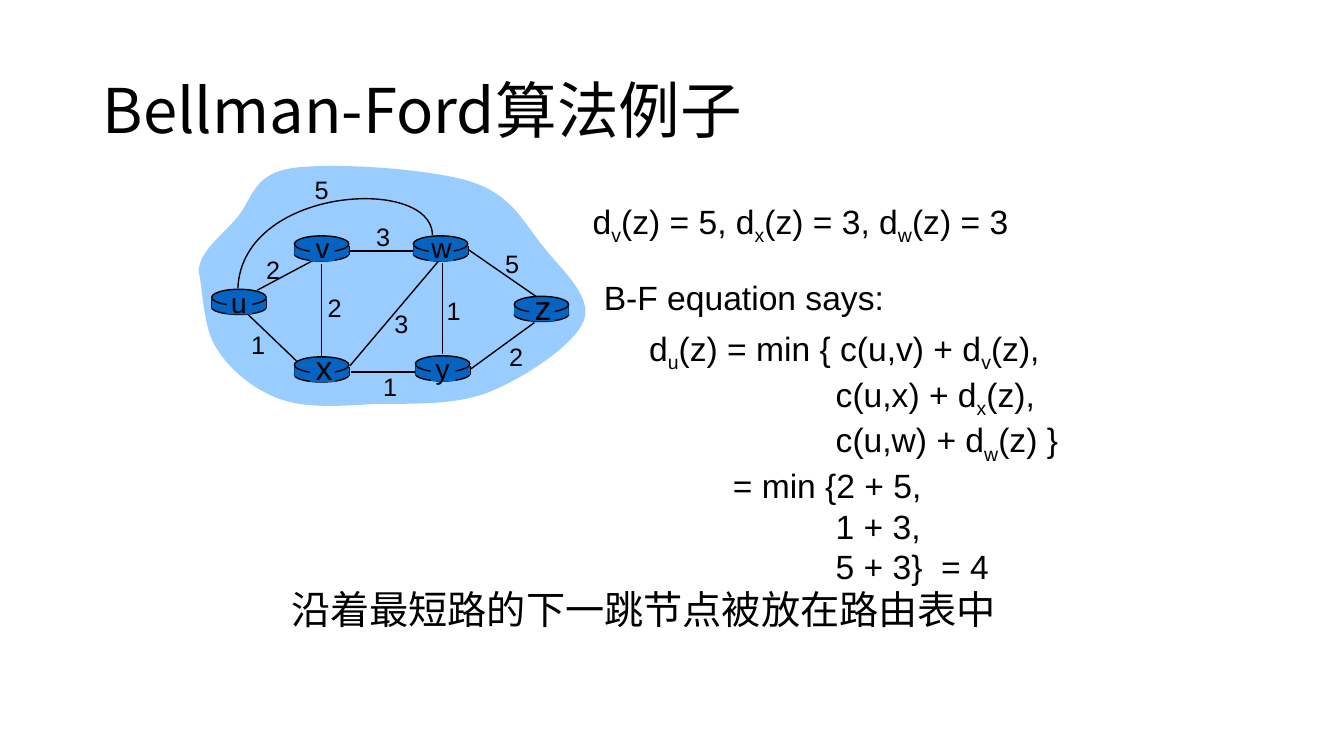
"""Build the slide that works through a Bellman-Ford example."""
from lxml import etree
from pptx import Presentation
from pptx.dml.color import RGBColor
from pptx.enum.shapes import MSO_CONNECTOR, MSO_SHAPE
from pptx.enum.text import MSO_ANCHOR, MSO_AUTO_SIZE, PP_ALIGN
from pptx.oxml.ns import qn
from pptx.util import Inches, Pt

OVAL, RECTANGLE = MSO_SHAPE.OVAL, MSO_SHAPE.RECTANGLE
STRAIGHT = MSO_CONNECTOR.STRAIGHT
LEFT, CENTER = PP_ALIGN.LEFT, PP_ALIGN.CENTER
MIDDLE = MSO_ANCHOR.MIDDLE
NO_FIT, GROW = MSO_AUTO_SIZE.NONE, MSO_AUTO_SIZE.SHAPE_TO_FIT_TEXT
BLACK, ROUTER_BLUE, CLOUD_BLUE = "000000", "0563C1", "99CCFF"
LATIN, CHINESE = "Arial", "Noto Sans CJK SC"


def paint(shape, fill, line):
    """Set fill and line from hex strings, or none, without a shadow."""
    shape.shadow.inherit = False
    for form, color in ((shape.fill, fill), (shape.line.fill, line)):
        if color:
            form.solid()
            form.fore_color.rgb = RGBColor.from_string(color)
        else:
            form.background()
    if line:
        shape.line.width = Pt(1)


def write(frame, lines, size, font=LATIN, align=LEFT, spacing=None):
    """Write (indent, text) lines; a letter after an underscore is a subscript."""
    for number, (indent, text) in enumerate(lines):
        para = frame.add_paragraph() if number else frame.paragraphs[0]
        para.alignment, para.line_spacing = align, spacing
        para.font.size, para.font.name = Pt(size), font
        para.font.color.rgb = RGBColor.from_string(BLACK)
        properties = para._p.get_or_add_pPr()
        if indent:
            properties.set("marL", str(Inches(indent)))
        defaults = properties.find(qn("a:defRPr"))
        etree.SubElement(defaults, qn("a:ea")).set("typeface", CHINESE)
        start, *rest = text.split("_")
        pieces = [(start, False)]
        for part in rest:
            pieces += [(part[0], True), (part[1:], False)]
        for piece, lowered in pieces:
            span = para.add_run()
            span.text = piece
            if lowered:
                span._r.get_or_add_rPr().set("baseline", "-25000")


deck = Presentation()
deck.slide_width, deck.slide_height = Inches(13.33), Inches(7.5)
page = deck.slides.add_slide(deck.slide_layouts[5])

title = page.shapes.title
title.left, title.top = Inches(0.92), Inches(0.4)
title.width, title.height = Inches(11.5), Inches(1.45)
title.text_frame.vertical_anchor = MIDDLE
title.text_frame.auto_size = NO_FIT
write(title.text_frame, [(0, "Bellman-Ford算法例子")], 44, CHINESE, spacing=0.9)

cloud = [
    (1.97, 2.69), (1.98, 2.49), (2.2, 2.34), (2.35, 2.16), (2.5, 1.99), (2.5, 1.73),
    (2.89, 1.67), (3.27, 1.61), (4.24, 1.67), (4.66, 1.8), (5.08, 1.93), (5.2, 2.22),
    (5.39, 2.45), (5.57, 2.68), (5.88, 2.94), (5.79, 3.18), (5.7, 3.42), (5.2, 3.75),
    (4.85, 3.89), (4.5, 4.03), (4.04, 4), (3.69, 4.01), (3.35, 4.03), (3.03, 4.05),
    (2.78, 3.96), (2.52, 3.87), (2.28, 3.67), (2.15, 3.46), (2.01, 3.25), (2.01, 2.85),
    (1.97, 2.69),
]
arc = [(4.29, 2.33), (4.28, 1.74), (2.4, 1.85), (2.36, 2.86)]
for controls, fill, line in ((cloud, CLOUD_BLUE, None), (arc, None, BLACK)):
    start, *others = [(Inches(x), Inches(y)) for x, y in controls]
    builder = page.shapes.build_freeform(*start)
    builder.add_line_segments(others, close=bool(fill))
    outline = builder.convert_to_shape()
    segments = list(outline._element.iter(qn("a:lnTo")))
    for first in range(0, len(segments), 3):
        curve = etree.Element(qn("a:cubicBezTo"))
        segments[first].addprevious(curve)
        for segment in segments[first:first + 3]:
            curve.append(segment[0])
            segment.getparent().remove(segment)
    paint(outline, fill, line)

routers = [
    ("u", 2.1, 2.87, 20, 2.19, 2.78, 0.36), ("x", 2.92, 3.54, 24, 3.03, 3.39, 0.37),
    ("v", 2.92, 2.34, 20, 3.03, 2.24, 0.34), ("w", 4.1, 2.34, 20, 4.18, 2.24, 0.4),
    ("y", 4.12, 3.53, 20, 4.22, 3.44, 0.34), ("z", 5.1, 2.94, 24, 5.2, 2.8, 0.37),
]
links = [
    (2.55, 2.88, 3.15, 2.56), (4.39, 2.61, 4.39, 3.51), (3.19, 2.62, 3.19, 3.55),
    (3.47, 3.63, 4.35, 2.59), (4.67, 3.66, 5.3, 3.2), (4.12, 3.69, 3.48, 3.69),
    (2.94, 3.58, 2.46, 3.12), (4.11, 2.49, 3.47, 2.49), (5.33, 2.95, 4.65, 2.48),
]
sides = [(x + dx, y + 0.1, x + dx, y + 0.19)
         for _, x, y, *_ in routers for dx in (0, 0.54)]
for ends in links + sides:
    connector = page.shapes.add_connector(STRAIGHT, *map(Inches, ends))
    connector.line.color.rgb = RGBColor.from_string(BLACK)
    connector.line.width = Pt(1)
    etree.SubElement(connector._element.spPr, qn("a:effectLst"))

router_parts = [
    (OVAL, 0, 0.11, 0.54, 0.14, BLACK),
    (RECTANGLE, 0, 0.1, 0.54, 0.09, None),
    (OVAL, 0, 0, 0.54, 0.16, BLACK),
    (RECTANGLE, 0.15, 0.02, 0.25, 0.23, None),
]
texts = []
for name, x, y, size, text_x, text_y, text_width in routers:
    for kind, dx, dy, width, height, line in router_parts:
        part = page.shapes.add_shape(
            kind, Inches(x + dx), Inches(y + dy), Inches(width), Inches(height))
        paint(part, ROUTER_BLUE, line)
    text_height = 0.5 if size == 24 else 0.43
    texts.append((text_x, text_y, text_width, text_height, [(0, name)], size, CENTER, None))

costs = [
    ("2", 2.54, 2.47), ("2", 3.15, 2.85), ("1", 2.39, 3.22), ("3", 3.81, 3.01),
    ("1", 3.7, 3.63), ("1", 4.33, 2.88), ("2", 4.95, 3.34), ("5", 4.91, 2.41),
    ("3", 3.63, 2.15), ("5", 3.02, 1.68),
]
texts += [(x, y, 0.34, 0.4, [(0, cost)], 18, CENTER, None) for cost, x, y in costs]

equation = [
    (0, "d_u(z) = min { c(u,v) + d_v(z),"),
    (1.85, "c(u,x) + d_x(z),"),
    (1.85, "c(u,w) + d_w(z) }"),
    (0.83, "= min {2 + 5,"),
    (1.85, "1 + 3,"),
    (1.85, "5 + 3}  = 4"),
]
texts += [
    (5.78, 1.94, 4.41, 0.5, [(0, "d_v(z) = 5, d_x(z) = 3, d_w(z) = 3")], 24, LEFT, None),
    (6.34, 3.2, 4.31, 2.52, equation, 24, LEFT, None),
    (2.79, 5.83, 7.27, 0.5, [(0, "沿着最短路的下一跳节点被放在路由表中")], 28, LEFT, 0.85),
    (5.89, 2.7, 2.98, 0.5, [(0, "B-F equation says:")], 24, LEFT, None),
]
for x, y, width, height, lines, size, align, spacing in texts:
    box = page.shapes.add_textbox(Inches(x), Inches(y), Inches(width), Inches(height))
    box.text_frame.word_wrap = False
    box.text_frame.auto_size = GROW
    write(box.text_frame, lines, size, align=align, spacing=spacing)

deck.save("out.pptx")
